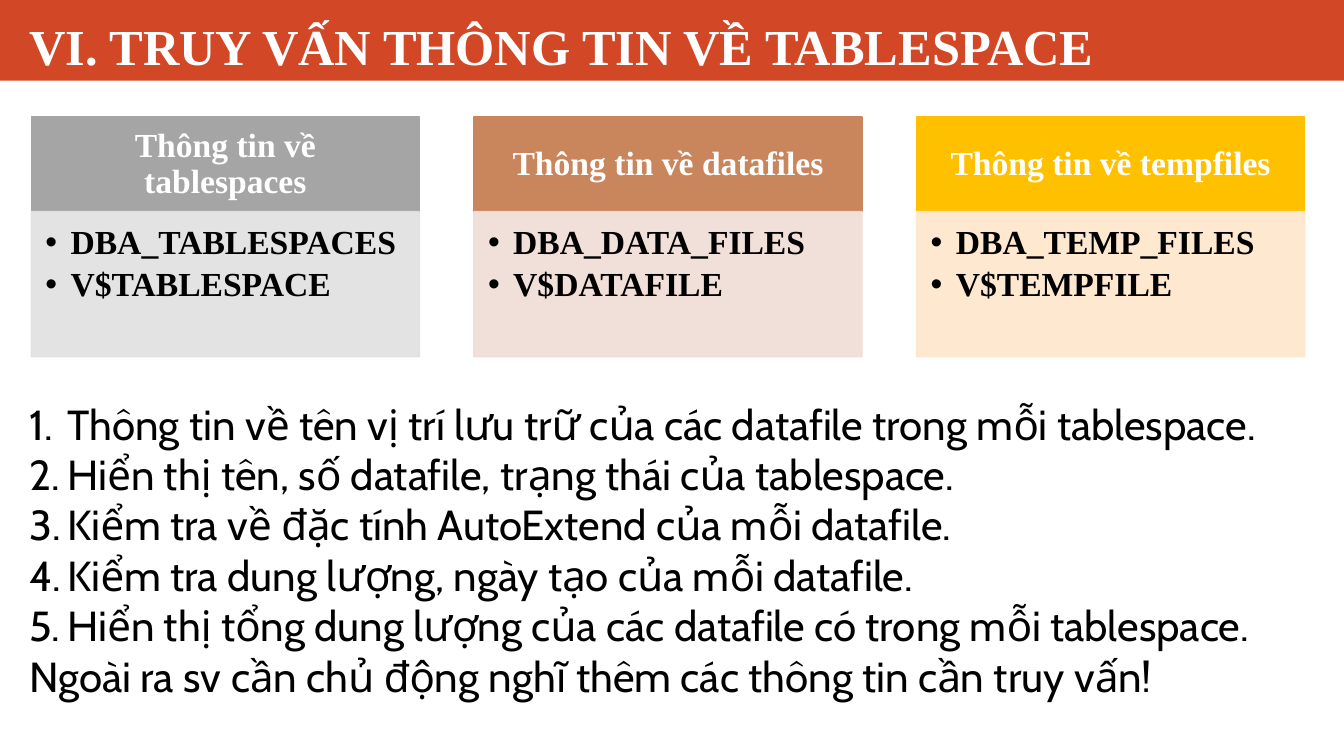
from lxml.etree import SubElement
from pptx import Presentation
from pptx.dml.color import RGBColor
from pptx.enum.shapes import MSO_SHAPE
from pptx.enum.text import MSO_ANCHOR, MSO_AUTO_SIZE, PP_ALIGN
from pptx.oxml.ns import qn
from pptx.util import Inches, Pt

SERIF = "Times New Roman"


def rgb(value):
    return RGBColor.from_string(value)


def write(shape, lines, size, color="000000", font=SERIF, bold=False,
          align=PP_ALIGN.LEFT, anchor=MSO_ANCHOR.TOP, insets=(0.1, 0.05, 0.1, 0.05),
          spacing=1.0, after=0, marker=None, indent=0):
    """Fill a shape with paragraphs; marker is a (tag, attribute, value) bullet."""
    frame = shape.text_frame
    frame.word_wrap = True
    frame.auto_size = MSO_AUTO_SIZE.NONE
    frame.vertical_anchor = anchor
    (frame.margin_left, frame.margin_top,
     frame.margin_right, frame.margin_bottom) = map(Inches, insets)
    for number, line in enumerate(lines):
        paragraph = frame.paragraphs[0] if number == 0 else frame.add_paragraph()
        paragraph.alignment = align
        paragraph.line_spacing = spacing
        paragraph.space_before = Pt(0)
        paragraph.space_after = Pt(after)
        properties = paragraph._p.get_or_add_pPr()
        properties.set("marL", str(Inches(indent)))
        properties.set("indent", str(-Inches(indent)))
        if marker:
            tag, attribute, value = marker
            if tag == "a:buChar":
                SubElement(properties, qn("a:buFont")).set("typeface", "Arial")
            SubElement(properties, qn(tag)).set(attribute, value)
        else:
            SubElement(properties, qn("a:buNone"))
        run = paragraph.add_run()
        run.text = line
        run.font.size = Pt(size)
        run.font.name = font
        run.font.bold = bold
        run.font.color.rgb = rgb(color)


presentation = Presentation()
presentation.slide_width = Inches(13.33)
presentation.slide_height = Inches(7.5)
slide = presentation.slides.add_slide(presentation.slide_layouts[1])
heading, queries = slide.placeholders

# Title on its red band
band = slide.shapes.add_shape(MSO_SHAPE.RECTANGLE, 0, 0, Inches(13.33), Inches(0.8))
band.shadow.inherit = False
band.fill.solid()
band.fill.fore_color.rgb = rgb("D24726")
band.line.fill.background()
heading.element.addprevious(band.element)

heading.left, heading.top = Inches(0.19), Inches(0)
heading.width, heading.height = Inches(12.94), Inches(0.8)
write(heading, ["VI. TRUY VẤN THÔNG TIN VỀ TABLESPACE"], 36, color="FFFFFF",
      bold=True, anchor=MSO_ANCHOR.BOTTOM)

# Three cards: a coloured header above a pale list of views
cards = [
    ("Thông tin về tablespaces", ["DBA_TABLESPACES", "V$TABLESPACE"], "A5A5A5", "E1E1E1"),
    ("Thông tin về datafiles", ["DBA_DATA_FILES", "V$DATAFILE"], "C9855C", "F0DCD6"),
    ("Thông tin về tempfiles", ["DBA_TEMP_FILES", "V$TEMPFILE"], "FFC000", "FFE6CB"),
]
for column, (topic, views, strong, pale) in enumerate(cards):
    left = Inches(0.31 + 4.39 * column)
    topic_box = slide.shapes.add_shape(
        MSO_SHAPE.RECTANGLE, left, Inches(1.16), Inches(3.85), Inches(0.94))
    views_box = slide.shapes.add_shape(
        MSO_SHAPE.RECTANGLE, left, Inches(2.1), Inches(3.85), Inches(1.44))
    for box, color in ((topic_box, strong), (views_box, pale)):
        box.shadow.inherit = False
        box.fill.solid()
        box.fill.fore_color.rgb = rgb(color)
        box.line.color.rgb = rgb(color)
        box.line.width = Pt(1)
    for tone in views_box.element.spPr.iter(qn("a:srgbClr")):
        SubElement(tone, qn("a:alpha")).set("val", "90000")
    write(topic_box, [topic], 24, color="FFFFFF", bold=True, align=PP_ALIGN.CENTER,
          anchor=MSO_ANCHOR.MIDDLE, insets=(0.19, 0.11, 0.19, 0.11), spacing=0.9)
    write(views_box, views, 24, bold=True, insets=(0.14, 0.14, 0.19, 0.21),
          spacing=0.9, after=4, marker=("a:buChar", "char", "•"), indent=0.25)

# Numbered queries with a closing remark
queries.left, queries.top = Inches(0.19), Inches(3.9)
queries.width, queries.height = Inches(13.14), Inches(3.13)
write(queries, [
    "Thông tin về tên vị trí lưu trữ của các datafile trong mỗi tablespace.",
    "Hiển thị tên, số datafile, trạng thái của tablespace.",
    "Kiểm tra về đặc tính AutoExtend của mỗi datafile.",
    "Kiểm tra dung lượng, ngày tạo của mỗi datafile.",
    "Hiển thị tổng dung lượng của các datafile có trong mỗi tablespace.",
    "Ngoài ra sv cần chủ động nghĩ thêm các thông tin cần truy vấn!",
], 30, font="Cabin", marker=("a:buAutoNum", "type", "arabicPeriod"), indent=0.38)
remark = queries.text_frame.paragraphs[-1]._p.pPr
remark.remove(remark.find(qn("a:buAutoNum")))
SubElement(remark, qn("a:buNone"))
remark.set("marL", "0")
remark.set("indent", "0")

presentation.save("out.pptx")
